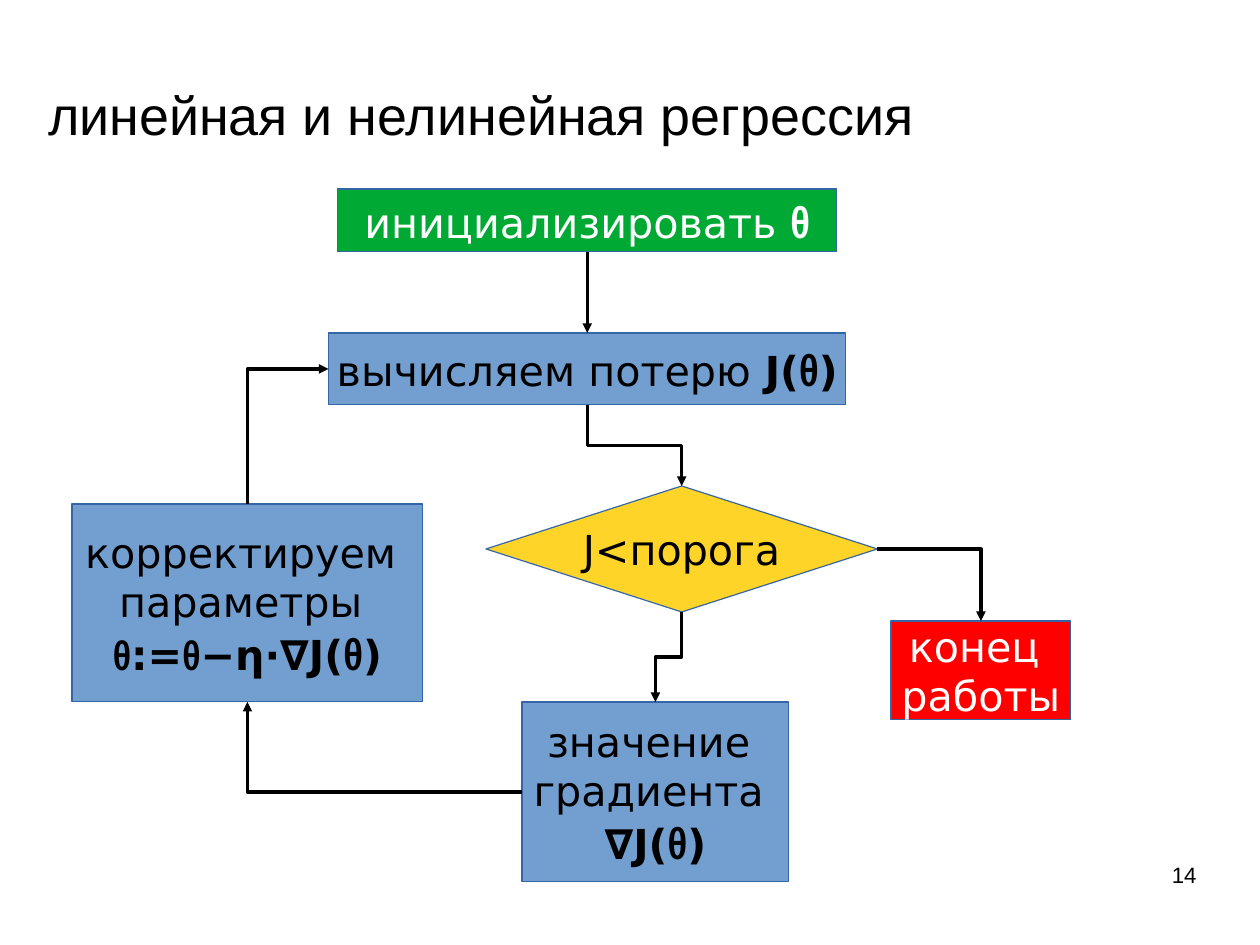
import pptx
import pptx.util
import pptx.dml.color
import pptx.enum.shapes
import pptx.enum.text
import lxml.etree

Cm = pptx.util.Cm
Pt = pptx.util.Pt
KIND = pptx.enum.shapes.MSO_SHAPE
ALIGN = pptx.enum.text.PP_ALIGN
ANCHOR = pptx.enum.text.MSO_ANCHOR

STYLES = {
    "plain": ("DejaVu Sans", 26, False),
    "bold": ("DejaVu Sans", 26, True),
    "theta": ("Arial Narrow", 28, True),
    "small": ("Arial Narrow", 26, True),
    "title": ("Arial", 33.9, False),
    "page": ("Arial", 14, False),
}
BLUE, BLACK, WHITE, EDGE = "729FCF", "000000", "FFFFFF", "3465A4"
THETA = [("θ", "theta"), (")", "bold")]

BOXES = {
    "init": (7.5, 4.2, 11.1, 1.4, KIND.RECTANGLE, "00A933", WHITE,
             [[("инициализировать ", "plain"), ("θ", "theta")]]),
    "loss": (7.3, 7.4, 11.5, 1.6, KIND.RECTANGLE, BLUE, BLACK,
             [[("вычисляем потерю ", "plain"), ("J(", "bold")] + THETA]),
    "test": (10.8, 10.8, 8.7, 2.8, KIND.DIAMOND, "FFD428", BLACK,
             [[("J<порога", "plain")]]),
    "end": (19.8, 13.8, 4, 2.2, KIND.RECTANGLE, "FF0000", WHITE,
            [[("конец ", "plain")], [("работы", "plain")]]),
    "grad": (11.6, 15.6, 5.93, 4, KIND.RECTANGLE, BLUE, BLACK,
             [[("значение ", "plain")], [("градиента ", "plain")],
              [("∇J(", "bold")] + THETA]),
    "step": (1.6, 11.2, 7.8, 4.4, KIND.RECTANGLE, BLUE, BLACK,
             [[("корректируем ", "plain")], [("параметры ", "plain")],
              [("θ", "small"), (":=", "bold"), ("θ", "small"),
               ("−η⋅∇J(", "bold")] + THETA]),
}
LINKS = [
    ("init", "bottom", "loss", "top"),
    ("loss", "bottom", "test", "top"),
    ("test", "right", "end", "top"),
    ("test", "bottom", "grad", "top"),
    ("grad", "left", "step", "bottom"),
    ("step", "top", "loss", "left"),
]
SIDES = {"top": (0.5, 0), "bottom": (0.5, 1), "left": (0, 0.5), "right": (1, 0.5)}
UPRIGHT = ("top", "bottom")
LABELS = [
    (1.07, 1.8, 23.8, 1.45, "линейная и нелинейная регрессия", "title",
     ALIGN.LEFT, ANCHOR.MIDDLE),
    (20.07, 19.13, 6.52, 1.45, "14", "page", ALIGN.RIGHT, ANCHOR.TOP),
]


def color(code):
    return pptx.dml.color.RGBColor.from_string(code)


def style(run, name, ink):
    run.font.name, size, run.font.bold = STYLES[name]
    run.font.size = Pt(size)
    run.font.color.rgb = color(ink)


def add_box(x, y, w, h, kind, fill, ink, lines):
    box = slide.shapes.add_shape(kind, Cm(x), Cm(y), Cm(w), Cm(h))
    box.shadow.inherit = False
    box.fill.solid()
    box.fill.fore_color.rgb = color(fill)
    box.line.color.rgb = color(EDGE)
    box.line.width = 0
    frame = box.text_frame
    frame.word_wrap = False
    frame.vertical_anchor = ANCHOR.MIDDLE
    for i, line in enumerate(lines):
        para = frame.add_paragraph() if i else frame.paragraphs[0]
        para.alignment = ALIGN.CENTER
        for text, name in line:
            run = para.add_run()
            run.text = text
            style(run, name, ink)


def add_label(x, y, w, h, text, name, align, anchor):
    frame = slide.shapes.add_textbox(Cm(x), Cm(y), Cm(w), Cm(h)).text_frame
    frame.margin_left = frame.margin_right = 0
    frame.margin_top = frame.margin_bottom = 0
    frame.word_wrap = True
    frame.vertical_anchor = anchor
    frame.text = text
    para = frame.paragraphs[0]
    para.alignment = align
    style(para.runs[0], name, BLACK)


def port(name, side):
    x, y, w, h = BOXES[name][:4]
    across, down = SIDES[side]
    return x + w * across, y + h * down


def add_link(start, out, goal, into):
    x1, y1 = port(start, out)
    x2, y2 = port(goal, into)
    turned = out in UPRIGHT
    if turned:
        mid_x, mid_y = (x1 + x2) / 2, (y1 + y2) / 2
        half_w, half_h = (y2 - y1) / 2, (x1 - x2) / 2
        x1, x2 = mid_x - half_w, mid_x + half_w
        y1, y2 = mid_y - half_h, mid_y + half_h
    link = slide.shapes.add_connector(
        pptx.enum.shapes.MSO_CONNECTOR.ELBOW, Cm(x1), Cm(y1), Cm(x2), Cm(y2))
    link.line.color.rgb = color(BLACK)
    link.line.width = 0
    props = link._element.spPr
    if turned:
        props.xfrm.set("rot", str(90 * 60000))
    if turned != (into in UPRIGHT):
        props.prstGeom.set("prst", "bentConnector2")
    space = "{" + props.nsmap["a"] + "}"
    lxml.etree.SubElement(props.find(space + "ln"), space + "tailEnd", type="triangle")
    lxml.etree.SubElement(props, space + "effectLst")


deck = pptx.Presentation()
deck.slide_width, deck.slide_height = Cm(28), Cm(21)
slide = deck.slides.add_slide(deck.slide_layouts[6])
for box in BOXES.values():
    add_box(*box)
for link in LINKS:
    add_link(*link)
for label in LABELS:
    add_label(*label)
deck.save("out.pptx")
